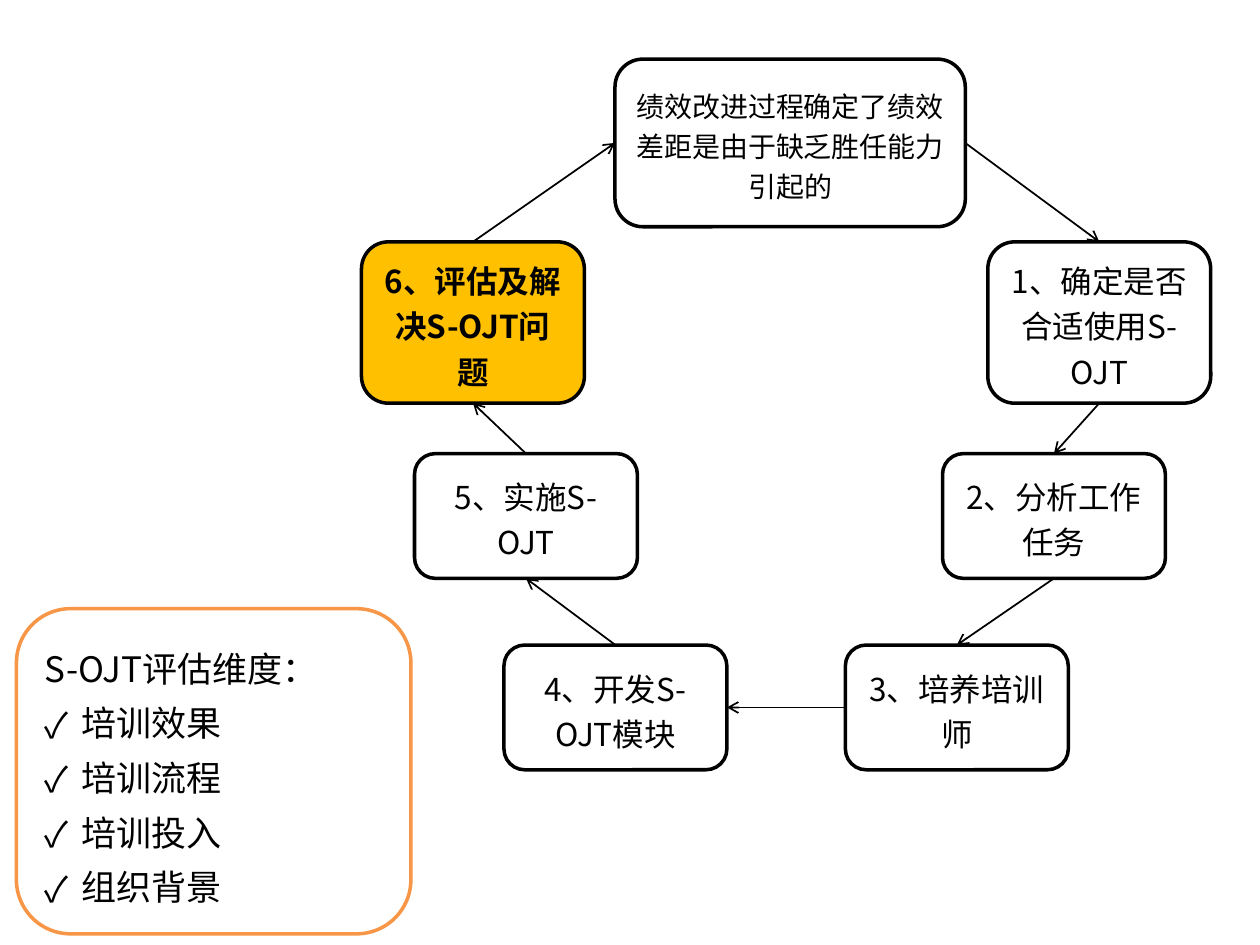
import pptx
import pptx.dml.color
import pptx.enum.shapes
import pptx.enum.text
import pptx.oxml.ns
import pptx.util
from lxml import etree

Pt = pptx.util.Pt
ALIGN = pptx.enum.text.PP_ALIGN
FONT_NAME = "Noto Sans CJK SC"
TOP, LEFT, BOTTOM, RIGHT = range(4)
STEP_WIDTH = 127.4
TALL, SHORT = 92.2, 71.3
UPPER, MIDDLE, LOWER = 138.2, 259.2, 368.6

STEPS = [
    ("绩效改进过程确定了绩效差距是由于缺乏胜任能力引起的", (351.4, 33.8, 200.2, 95.8), {"size": Pt(16)}),
    ("1、确定是否合适使用S-OJT", (564.5, UPPER, STEP_WIDTH, TALL), {}),
    ("2、分析工作任务", (538.6, MIDDLE, STEP_WIDTH, SHORT), {}),
    ("3、培养培训师", (483.1, LOWER, STEP_WIDTH, SHORT), {}),
    ("4、开发S-OJT模块", (288, LOWER, STEP_WIDTH, SHORT), {}),
    ("5、实施S-OJT", (236.9, MIDDLE, STEP_WIDTH, SHORT), {}),
    ("6、评估及解决S-OJT问题", (206.6, UPPER, STEP_WIDTH, TALL), {"bold": True}),
]
SIDES = [(RIGHT, TOP), (BOTTOM, TOP), (BOTTOM, TOP), (LEFT, RIGHT),
         (TOP, BOTTOM), (TOP, BOTTOM), (TOP, LEFT)]
DIMENSIONS = ["培训效果", "培训流程", "培训投入", "组织背景"]


def color(value):
    """Return the colour for a hex string."""
    return pptx.dml.color.RGBColor.from_string(value)


def add_child(parent, tag, **attributes):
    """Append a DrawingML element to its parent."""
    return etree.SubElement(parent, pptx.oxml.ns.qn(tag), attributes)


def add_box(slide, box, line, fill="FFFFFF"):
    """Add an outlined rounded rectangle."""
    shape = slide.shapes.add_shape(
        pptx.enum.shapes.MSO_SHAPE.ROUNDED_RECTANGLE, *map(Pt, box))
    shape.shadow.inherit = False
    shape.fill.solid()
    shape.fill.fore_color.rgb = color(fill)
    shape.line.color.rgb = color(line)
    shape.line.width = Pt(2)
    shape.text_frame.word_wrap = True
    shape.text_frame.vertical_anchor = pptx.enum.text.MSO_ANCHOR.MIDDLE
    return shape


def write(paragraph, text, alignment, spacing, **font_values):
    """Write one formatted run into a paragraph."""
    paragraph.alignment = alignment
    paragraph.line_spacing = spacing
    run = paragraph.add_run()
    run.text = text
    run.font.color.rgb = color("000000")
    for name, value in ({"name": FONT_NAME} | font_values).items():
        setattr(run.font, name, value)
    add_child(run.font._element, "a:ea", typeface=FONT_NAME)


def add_arrow(slide, start, start_side, end, end_side):
    """Join two boxes with an open-headed arrow."""
    connector = slide.shapes.add_connector(
        pptx.enum.shapes.MSO_CONNECTOR.STRAIGHT, 0, 0, 0, 0)
    connector.begin_connect(start, start_side)
    connector.end_connect(end, end_side)
    connector.line.color.rgb = color("000000")
    connector.line.width = Pt(1)
    add_child(connector.line._get_or_add_ln(), "a:tailEnd", type="arrow")
    add_child(connector._element.spPr, "a:effectLst")


def add_cycle(slide, steps):
    """Draw the step boxes and the arrows that close the cycle."""
    boxes = []
    for text, box, font_values in steps:
        fill = "FFC000" if font_values.get("bold") else "FFFFFF"
        shape = add_box(slide, box, "000000", fill)
        write(shape.text_frame.paragraphs[0], text, ALIGN.CENTER, 1.2,
              **({"size": Pt(18)} | font_values))
        boxes.append(shape)
    for start, end, (start_side, end_side) in zip(boxes, boxes[1:] + boxes[:1], SIDES):
        add_arrow(slide, start, start_side, end, end_side)


def add_dimensions(slide, box):
    """Draw the panel with the check list of evaluation dimensions."""
    frame = add_box(slide, box, "F79646").text_frame
    write(frame.paragraphs[0], "S-OJT评估维度：", ALIGN.LEFT, 1.3, size=Pt(20))
    for text in DIMENSIONS:
        paragraph = frame.add_paragraph()
        properties = paragraph._p.get_or_add_pPr()
        properties.set("marL", str(Pt(21)))
        properties.set("indent", str(Pt(-21)))
        add_child(properties, "a:buFont", typeface=FONT_NAME)
        add_child(properties, "a:buChar", char="✓")
        write(paragraph, text, ALIGN.LEFT, 1.3, size=Pt(20))


def main():
    """Build and save the slide."""
    presentation = pptx.Presentation()
    presentation.slide_width, presentation.slide_height = Pt(720), Pt(540)
    slide = presentation.slides.add_slide(presentation.slide_layouts[6])
    add_cycle(slide, STEPS)
    add_dimensions(slide, (9.4, 347.8, 225.4, 185.8))
    presentation.save("out.pptx")


if __name__ == "__main__":
    main()
